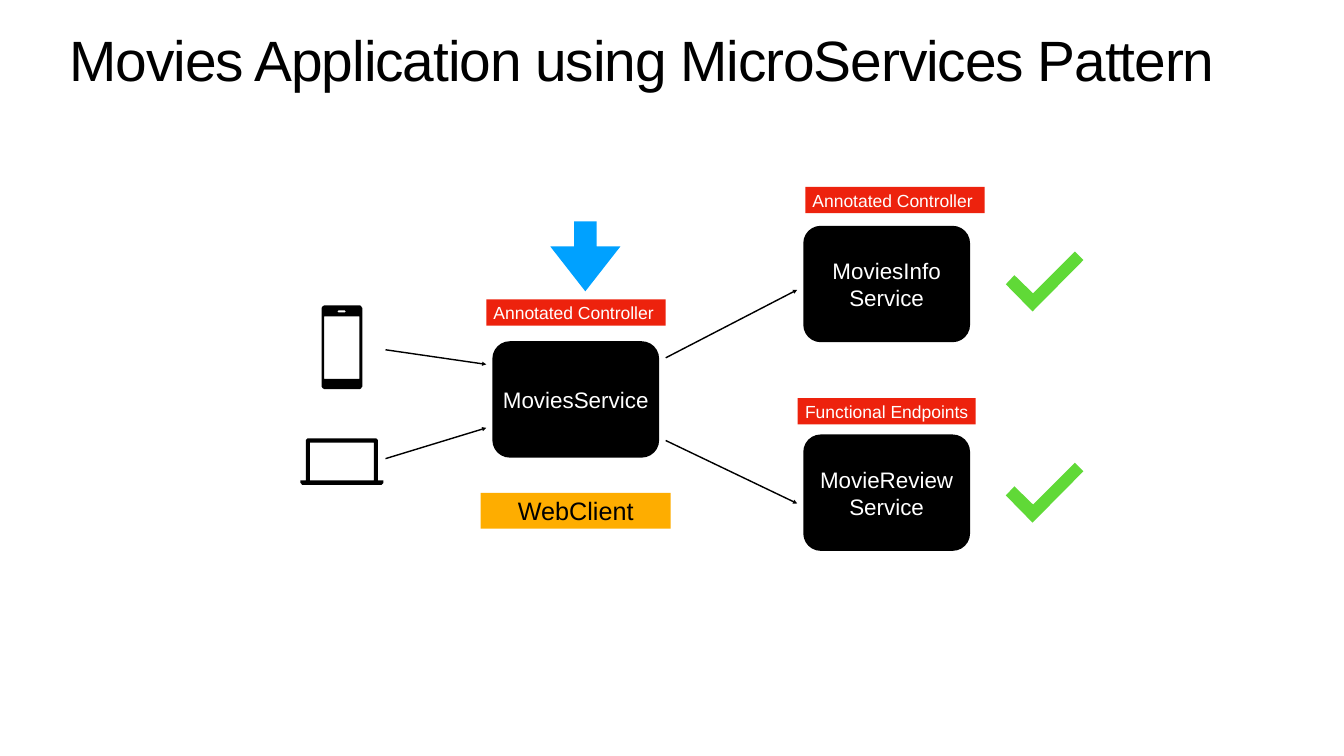
from math import cos, radians, sin

from lxml import etree
from pptx import Presentation
from pptx.dml.color import RGBColor
from pptx.enum.shapes import MSO_CONNECTOR, MSO_SHAPE
from pptx.enum.text import MSO_ANCHOR, MSO_AUTO_SIZE, PP_ALIGN
from pptx.oxml.ns import qn
from pptx.util import Pt

PX = 9144
FONT = "Arial"
BLACK = RGBColor(0, 0, 0)
WHITE = RGBColor(255, 255, 255)
RED = RGBColor(0xED, 0x22, 0x0D)
GREEN = RGBColor(0x60, 0xD9, 0x37)
BLUE = RGBColor(0x00, 0xA1, 0xFF)
AMBER = RGBColor(0xFE, 0xAD, 0x00)
RECT, ROUND, DOWN = MSO_SHAPE.RECTANGLE, MSO_SHAPE.ROUNDED_RECTANGLE, MSO_SHAPE.DOWN_ARROW
LINE = MSO_CONNECTOR.STRAIGHT
CENTER = PP_ALIGN.CENTER
TOP, MIDDLE = MSO_ANCHOR.TOP, MSO_ANCHOR.MIDDLE
GROW = MSO_AUTO_SIZE.SHAPE_TO_FIT_TEXT


def emu(*sizes):
    return [size * PX for size in sizes]


def paint(shape, color):
    shape.shadow.inherit = False
    shape.fill.solid()
    shape.fill.fore_color.rgb = color
    shape.line.fill.background()


def write(shape, lines, size, color, align=CENTER, anchor=MIDDLE, wrap=True):
    frame = shape.text_frame
    frame.word_wrap = wrap
    frame.vertical_anchor = anchor
    frame.margin_left = frame.margin_top = 6 * PX
    frame.margin_right = frame.margin_bottom = 6 * PX
    for i, line in enumerate(lines):
        para = frame.paragraphs[0] if i == 0 else frame.add_paragraph()
        para.alignment = align
        run = para.add_run()
        run.text = line
        run.font.name = FONT
        run.font.size = Pt(size)
        run.font.color.rgb = color
    return frame


def add_title(slide, text):
    box = slide.shapes.add_textbox(*emu(132, 70, 2403, 157))
    frame = write(box, [text], 81.2, BLACK, PP_ALIGN.LEFT, TOP)
    para = frame.paragraphs[0]
    para.line_spacing = 0.8
    para.runs[0].font._element.set("spc", "-160")


def add_node(slide, x, y, *lines):
    node = slide.shapes.add_shape(ROUND, *emu(x, y, 331, 231))
    node.adjustments[0] = 0.15
    paint(node, BLACK)
    write(node, lines, 32, WHITE)


def add_label(slide, box, text, size, fill, color, wrap):
    label = slide.shapes.add_shape(RECT, *emu(*box))
    paint(label, fill)
    frame = write(label, [text], size, color, wrap=wrap)
    frame.auto_size = GROW


def add_link(slide, *ends):
    link = slide.shapes.add_connector(LINE, *emu(*ends))
    link.line.color.rgb = BLACK
    link.line.width = Pt(2)
    etree.SubElement(link.line._get_or_add_ln(), qn("a:tailEnd"), type="triangle")
    etree.SubElement(link._element.spPr, qn("a:effectLst"))


def add_arrow(slide):
    arrow = slide.shapes.add_shape(DOWN, *emu(1092, 439, 139, 139))
    arrow.adjustments[0] = 0.32
    arrow.adjustments[1] = 0.64
    paint(arrow, BLUE)


def box_path(x, y, w, h, r=0):
    if r == 0:
        return [(x, y), (x + w, y), (x + w, y + h), (x, y + h)]
    hubs = [(x + w - r, y + h - r), (x + r, y + h - r), (x + r, y + r), (x + w - r, y + r)]
    return [
        (hx + r * cos(radians(turn)), hy + r * sin(radians(turn)))
        for i, (hx, hy) in enumerate(hubs)
        for turn in range(90 * i, 90 * i + 91, 15)
    ]


def add_icon(slide, color, *paths):
    pen = slide.shapes.build_freeform(*paths[0][0], scale=PX)
    for i, path in enumerate(paths):
        if i > 0:
            pen.move_to(*path[0])
        pen.add_line_segments(path[1:], close=True)
    paint(pen.convert_to_shape(), color)


def add_phone(slide):
    add_icon(slide, BLACK, box_path(638, 606, 81, 166, 7),
             box_path(670, 616, 16, 4, 2), box_path(643, 628, 70, 124))


def add_laptop(slide):
    case = [(610, 870), (747, 870), (750, 873), (750, 953), (761, 953), (761, 958),
            (757, 962), (600, 962), (596, 958), (596, 953), (607, 953), (607, 873)]
    add_icon(slide, BLACK, case, box_path(615, 878, 127, 75))


def add_check(slide, x, y):
    tick = [(137, 0), (54, 83), (17, 47), (0, 65), (53, 119), (154, 17)]
    add_icon(slide, GREEN, [(x + dx, y + dy) for dx, dy in tick])


def main():
    deck = Presentation()
    deck.slide_width, deck.slide_height = emu(2667, 1500)
    slide = deck.slides.add_slide(deck.slide_layouts[6])
    add_title(slide, "Movies Application using MicroServices Pattern")
    add_node(slide, 977, 677, "MoviesService")
    add_node(slide, 1594, 448, "MoviesInfo Service")
    add_node(slide, 1594, 862, "MovieReview", "Service")
    add_link(slide, 1321, 710, 1582, 575)
    add_link(slide, 1321, 874, 1582, 999)
    add_phone(slide)
    add_laptop(slide)
    add_link(slide, 765, 694, 965, 723)
    add_link(slide, 765, 910, 965, 849)
    for x, y, w, text in [
        (1598, 371, 356, "Annotated Controller "),
        (965, 594, 356, "Annotated Controller "),
        (1583, 790, 353, "Functional Endpoints"),
    ]:
        add_label(slide, (x, y, w, 52), text, 25, RED, WHITE, False)
    add_arrow(slide)
    for y in (499, 918):
        add_check(slide, 1996, y)
    add_label(slide, (954, 978, 377, 71), "WebClient", 36, AMBER, BLACK, True)
    deck.save("out.pptx")


if __name__ == "__main__":
    main()
